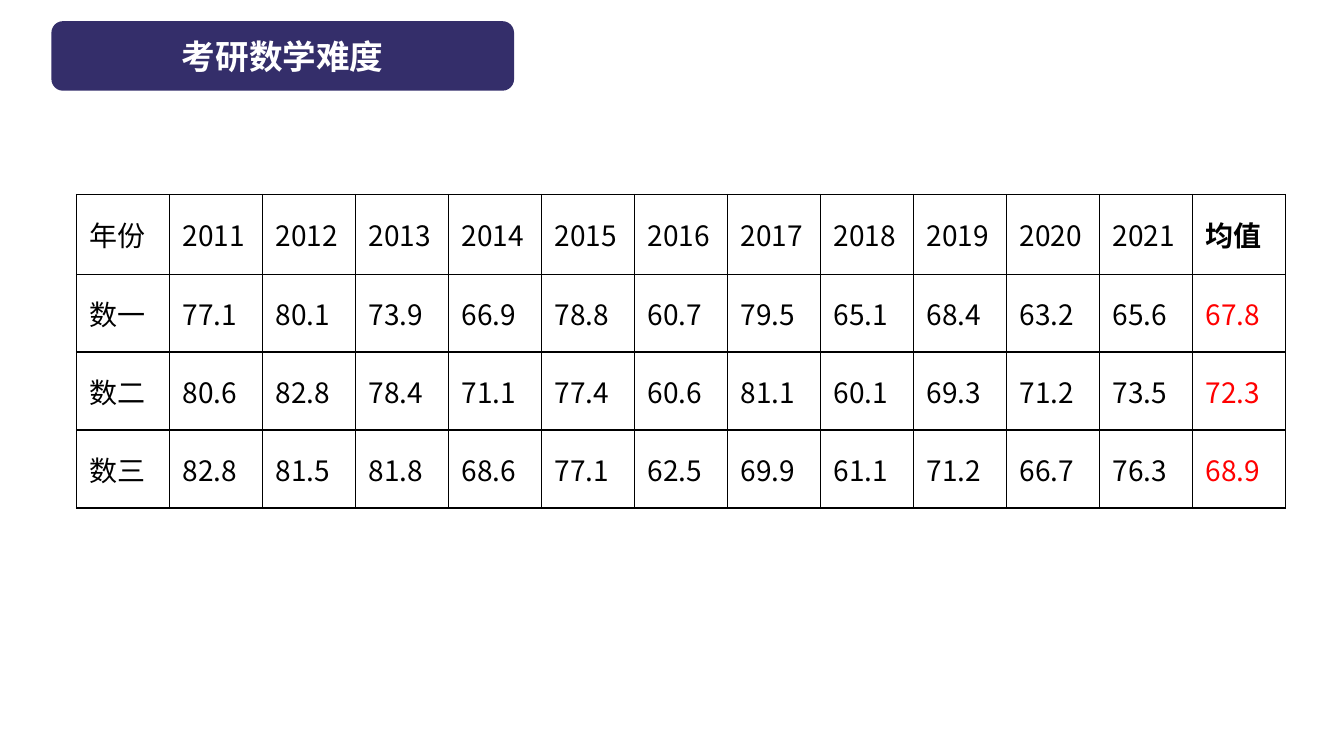
from lxml import etree
from pptx import Presentation, util as u
from pptx.dml.color import RGBColor
from pptx.enum import shapes, text
from pptx.oxml import ns

YEARS = [str(year) for year in range(2011, 2022)]
SCORES = {
    "数一": "77.1 80.1 73.9 66.9 78.8 60.7 79.5 65.1 68.4 63.2 65.6 67.8",
    "数二": "80.6 82.8 78.4 71.1 77.4 60.6 81.1 60.1 69.3 71.2 73.5 72.3",
    "数三": "82.8 81.5 81.8 68.6 77.1 62.5 69.9 61.1 71.2 66.7 76.3 68.9",
}


def color(value):
    return RGBColor.from_string(value)


class ScoreSlide:
    font = "Noto Sans CJK SC"
    columns, rows = 160, 90
    navy, white, black, red = "342E6A", "FFFFFF", "000000", "FF0000"

    def __init__(self, presentation):
        self.width = presentation.slide_width
        self.height = presentation.slide_height
        self.slide = presentation.slides.add_slide(presentation.slide_layouts[5])

    def x(self, columns):
        return round(self.width * columns / self.columns)

    def y(self, rows):
        return round(self.height * rows / self.rows)

    def box(self, left, top, width, height):
        return self.x(left), self.y(top), self.x(width), self.y(height)

    def set_text(self, paragraph, words, size, ink, bold=False):
        paragraph.text = words
        font = paragraph.font
        font.size, font.bold, font.name = u.Pt(size), bold, self.font
        font.color.rgb = color(ink)
        east_asian = etree.SubElement(font._element, ns.qn("a:ea"))
        east_asian.set("typeface", self.font)

    def title(self, words, *place):
        area = self.box(*place)
        banner = self.slide.shapes.add_shape(
            shapes.MSO_SHAPE.ROUNDED_RECTANGLE, *area)
        banner.shadow.inherit = False
        banner.fill.solid()
        banner.fill.fore_color.rgb = color(self.navy)
        banner.line.fill.background()
        title = self.slide.shapes.title
        title.left, title.top, title.width, title.height = area
        banner._element.addnext(title._element)
        frame = title.text_frame
        frame.word_wrap = True
        frame.auto_size = text.MSO_AUTO_SIZE.NONE
        frame.vertical_anchor = text.MSO_ANCHOR.MIDDLE
        paragraph = frame.paragraphs[0]
        self.set_text(paragraph, words, 24, self.white, True)
        paragraph.alignment = text.PP_ALIGN.CENTER

    def border(self, cell):
        properties = cell._tc.get_or_add_tcPr()
        for side in ("lnL", "lnR", "lnT", "lnB"):
            line = etree.SubElement(properties, ns.qn(f"a:{side}"), w=str(u.Pt(1)))
            fill = etree.SubElement(line, ns.qn("a:solidFill"))
            etree.SubElement(fill, ns.qn("a:srgbClr"), val=self.black)

    def cell(self, cell, words, ink, bold):
        self.border(cell)
        cell.fill.background()
        cell.vertical_anchor = text.MSO_ANCHOR.MIDDLE
        cell.margin_left = cell.margin_right = u.Inches(0.13)
        cell.margin_top = cell.margin_bottom = u.Inches(0.07)
        self.set_text(cell.text_frame.paragraphs[0], words, 20, ink, bold)

    def table(self, records, left, top, column_width, row_heights):
        count = len(records[0])
        table = self.slide.shapes.add_table(
            len(records), count,
            *self.box(left, top, column_width * count, sum(row_heights))).table
        table.first_row = table.horz_banding = False
        for column in table.columns:
            column.width = self.x(column_width)
        for row, height in zip(table.rows, row_heights):
            row.height = self.y(height)
        for i, record in enumerate(records):
            for j, words in enumerate(record):
                mean = j == count - 1
                ink = self.red if mean and i else self.black
                self.cell(table.cell(i, j), words, ink, mean and i == 0)


def main():
    presentation = Presentation()
    presentation.slide_width = u.Inches(40 / 3)
    presentation.slide_height = u.Inches(7.5)
    page = ScoreSlide(presentation)
    page.title("考研数学难度", 6.12, 2.52, 55.08, 8.28)
    records = [["年份", *YEARS, "均值"]]
    records += [[subject, *scores.split()] for subject, scores in SCORES.items()]
    page.table(records, 9.12, 23.16, 11.07, [9.48] + [9.28] * len(SCORES))
    presentation.save("out.pptx")


if __name__ == "__main__":
    main()
